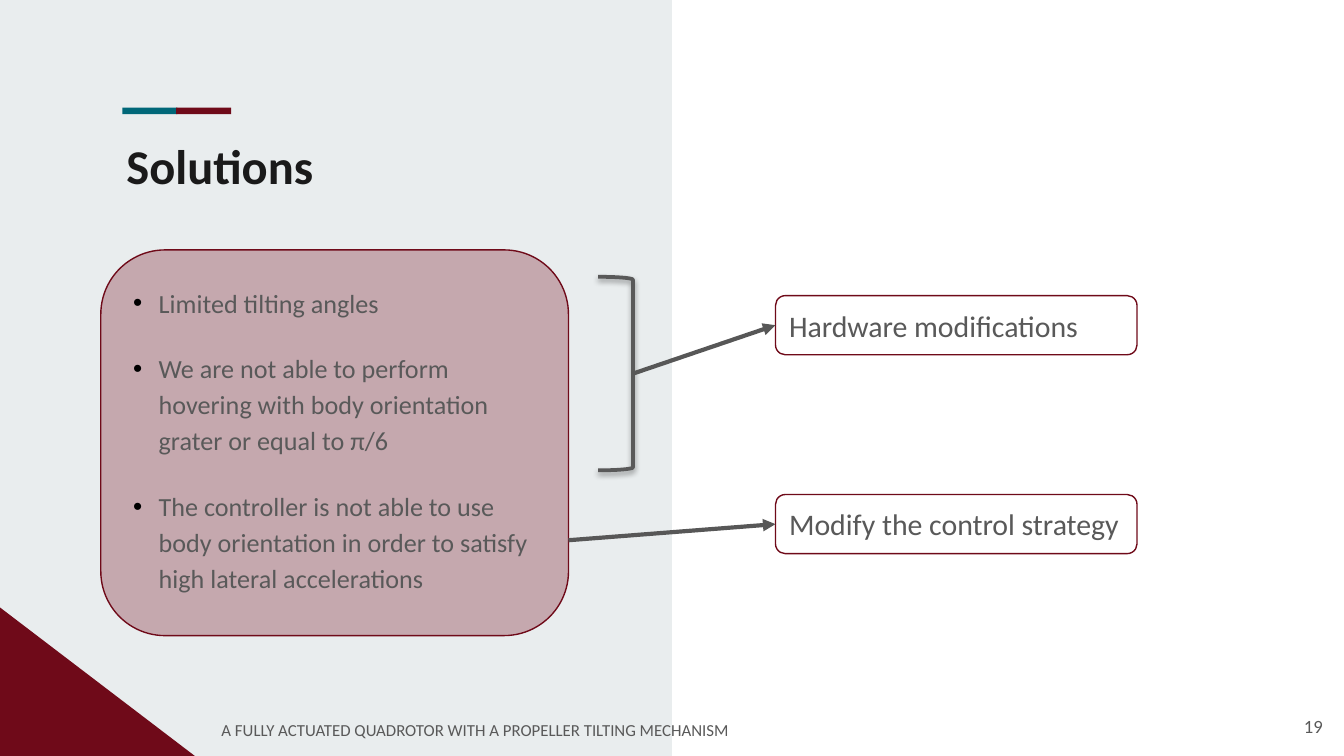
"""Build the Solutions slide linking limitations to their remedies."""
from dataclasses import dataclass
from typing import Optional

from lxml import etree
from pptx import Presentation
from pptx.dml import color
from pptx.enum import shapes, text
from pptx.oxml import ns
from pptx.util import Inches, Pt


@dataclass(frozen=True)
class Theme:
    font: str = "Calibri"
    panel: str = "E9EDEE"
    teal: str = "006778"
    maroon: str = "6F0A19"
    rose: str = "C5A8AE"
    heading: str = "1A1A1A"
    ink: str = "595959"
    arrow: str = "575757"
    black: str = "000000"
    title_size: float = 26
    label_size: float = 16
    list_size: float = 14
    number_size: float = 10
    footer_size: float = 9


@dataclass(frozen=True)
class Area:
    left: float
    top: float
    width: float
    height: float

    def lengths(self) -> tuple:
        return tuple(Inches(v) for v in (self.left, self.top, self.width, self.height))


@dataclass(frozen=True)
class Block:
    kind: shapes.MSO_SHAPE
    area: Area
    fill: str


@dataclass(frozen=True)
class Remedy:
    label: str
    top: float
    start: tuple[float, float]


THEME = Theme()
PAGE_WIDTH = 10
PAGE_HEIGHT = PAGE_WIDTH * 9 / 16
BLOCKS = [
    Block(shapes.MSO_SHAPE.RECTANGLE, Area(0, 0, PAGE_WIDTH / 2, PAGE_HEIGHT), THEME.panel),
    Block(shapes.MSO_SHAPE.RECTANGLE, Area(0.91, 0.8, 0.41, 0.05), THEME.teal),
    Block(shapes.MSO_SHAPE.RECTANGLE, Area(1.31, 0.8, 0.41, 0.05), THEME.maroon),
    Block(shapes.MSO_SHAPE.RIGHT_TRIANGLE, Area(0, 4.52, 1.45, PAGE_HEIGHT - 4.52),
          THEME.maroon),
]
CARD = Area(0.75, 1.86, 3.48, 2.87)
CARD_INSET = 0.14
BRACKET = Area(4.45, 2.06, 0.26, 1.44)
LIMITATIONS = [
    "Limited tilting angles",
    "We are not able to perform hovering with body orientation grater or equal to π/6",
    "The controller is not able to use body orientation in order to satisfy "
    "high lateral accelerations",
]
REMEDIES = [
    Remedy("Hardware modifications", 2.2, (4.71, 2.78)),
    Remedy("Modify the control strategy", 3.68, (4.23, 4.02)),
]


def add_child(parent, tag: str, **attributes: str):
    """Append a drawing element and return it."""
    return etree.SubElement(parent, ns.qn(tag), attributes)


def add_shape(page, kind, area: Area, fill: Optional[str] = None,
              line: Optional[str] = None, weight: float = 0.75):
    """Draw a flat preset shape."""
    shape = page.shapes.add_shape(kind, *area.lengths())
    shape.shadow.inherit = False
    if fill:
        shape.fill.solid()
        shape.fill.fore_color.rgb = color.RGBColor.from_string(fill)
    else:
        shape.fill.background()
    if line:
        shape.line.color.rgb = color.RGBColor.from_string(line)
        shape.line.width = Pt(weight)
    else:
        shape.line.fill.background()
    return shape


def write(box, *lines: str, size: float, ink: str = THEME.ink, bold: bool = False,
          align=text.PP_ALIGN.LEFT, anchor=text.MSO_ANCHOR.TOP, inset: float = 0.1,
          right: float = 0.1, spacing: float = 1, after: float = 0,
          bullet: bool = False) -> None:
    """Fill a box with formatted paragraphs."""
    frame = box.text_frame
    frame.word_wrap = True
    frame.auto_size = text.MSO_AUTO_SIZE.NONE
    frame.vertical_anchor = anchor
    frame.margin_left = frame.margin_top = frame.margin_bottom = Inches(inset)
    frame.margin_right = Inches(right)
    for index, line in enumerate(lines):
        para = frame.add_paragraph() if index else frame.paragraphs[0]
        para.alignment = align
        if bullet:
            add_bullet(para)
        para.line_spacing = spacing
        para.space_before = Pt(0)
        para.space_after = Pt(after)
        span = para.add_run()
        span.text = line
        span.font.name = THEME.font
        span.font.size = Pt(size)
        span.font.bold = bold
        span.font.color.rgb = color.RGBColor.from_string(ink)


def add_bullet(para) -> None:
    """Give a paragraph a hanging bullet."""
    properties = para._p.get_or_add_pPr()
    properties.set("marL", str(Inches(0.19)))
    properties.set("indent", str(Inches(-0.19)))
    add_child(add_child(properties, "a:buClr"), "a:srgbClr", val=THEME.black)
    add_child(properties, "a:buFont", typeface="Arial")
    add_child(properties, "a:buChar", char="•")


def add_shadow(shape) -> None:
    """Cast a soft shadow straight down."""
    effects = shape._element.spPr.find(ns.qn("a:effectLst"))
    shadow = add_child(effects, "a:outerShdw", blurRad=str(Pt(3.1)), dist=str(Pt(1.6)),
                       dir="5400000", rotWithShape="0")
    tint = add_child(shadow, "a:srgbClr", val=THEME.black)
    add_child(tint, "a:alpha", val="38000")


def add_remedy(page, remedy: Remedy) -> None:
    """Draw a remedy box and the arrow leading to it."""
    area = Area(5.77, remedy.top, 2.69, 0.44)
    box = add_shape(page, shapes.MSO_SHAPE.ROUNDED_RECTANGLE, area, line=THEME.maroon)
    write(box, remedy.label, size=THEME.label_size, inset=0.08, right=0,
          anchor=text.MSO_ANCHOR.MIDDLE)
    ends = (*remedy.start, area.left, area.top + area.height / 2)
    arrow = page.shapes.add_connector(shapes.MSO_CONNECTOR.STRAIGHT,
                                      *(Inches(v) for v in ends))
    arrow.end_connect(box, 1)
    arrow.line.color.rgb = color.RGBColor.from_string(THEME.arrow)
    arrow.line.width = Pt(2.25)
    add_child(arrow.line._get_or_add_ln(), "a:tailEnd", type="triangle")
    add_child(arrow._element.spPr, "a:effectLst")


def place(holder, area: Area) -> None:
    """Move a placeholder to its area, in front of earlier shapes."""
    holder.left, holder.top, holder.width, holder.height = area.lengths()
    holder._element.getparent().append(holder._element)


def main() -> None:
    """Build and save the deck."""
    deck = Presentation()
    deck.slide_width, deck.slide_height = Inches(PAGE_WIDTH), Inches(PAGE_HEIGHT)
    page = deck.slides.add_slide(deck.slide_layouts[1])
    title, body = page.placeholders
    for block in BLOCKS:
        add_shape(page, block.kind, block.area, block.fill)
    place(title, Area(0.84, 0.91, 3.61, 1.49))
    write(title, "Solutions", size=THEME.title_size, ink=THEME.heading, bold=True)
    number = page.shapes.add_textbox(*Area(9.34, 5.19, 0.6, 0.43).lengths())
    write(number, "19", size=THEME.number_size, align=text.PP_ALIGN.RIGHT,
          anchor=text.MSO_ANCHOR.MIDDLE)
    footer = page.shapes.add_textbox(*Area(1.55, 5.23, 6.4, 0.37).lengths())
    write(footer, "A FULLY ACTUATED QUADROTOR WITH A PROPELLER TILTING MECHANISM",
          size=THEME.footer_size, spacing=1.15, after=16)
    add_shape(page, shapes.MSO_SHAPE.ROUNDED_RECTANGLE, CARD, THEME.rose, THEME.maroon)
    place(body, Area(CARD.left + CARD_INSET, CARD.top + CARD_INSET,
                     CARD.width - 2 * CARD_INSET, CARD.height - 2 * CARD_INSET))
    write(body, *LIMITATIONS, size=THEME.list_size, spacing=1.15, after=16, bullet=True)
    bracket = add_shape(page, shapes.MSO_SHAPE.RIGHT_BRACKET, BRACKET,
                        line=THEME.ink, weight=2)
    add_shadow(bracket)
    for remedy in REMEDIES:
        add_remedy(page, remedy)
    deck.save("out.pptx")


if __name__ == "__main__":
    main()
